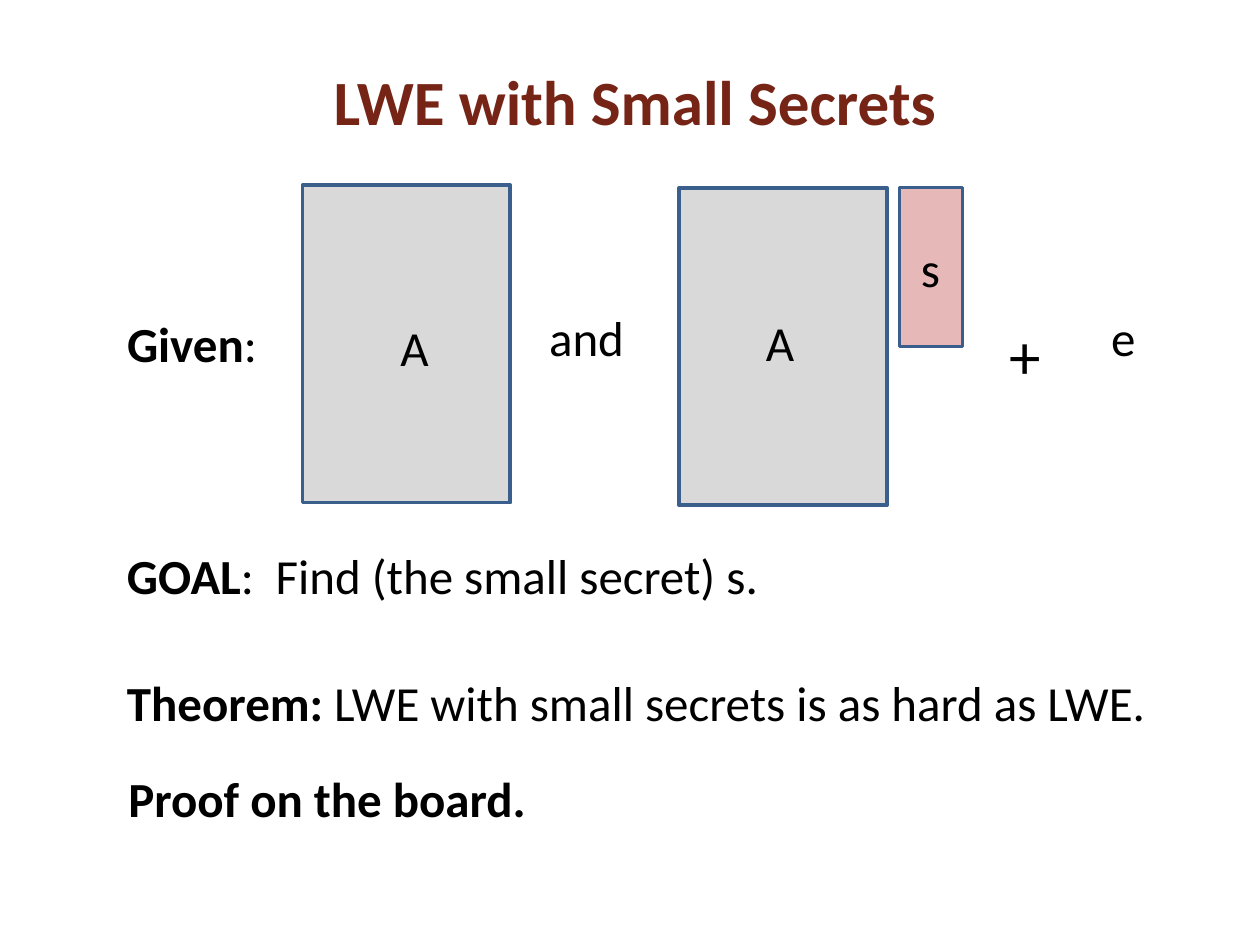
from lxml import etree
from pptx import Presentation
from pptx.dml.color import RGBColor
from pptx.enum.shapes import MSO_SHAPE
from pptx.enum.text import MSO_ANCHOR, PP_ALIGN
from pptx.oxml.ns import qn
from pptx.util import Inches, Pt

RECTANGLE = MSO_SHAPE.RECTANGLE
MIDDLE = MSO_ANCHOR.MIDDLE
CENTER = PP_ALIGN.CENTER

FONT = "Calibri"
COLORS = {"title": "762416", "text": "000000", "matrix": "D9D9D9",
          "secret": "E6B9B8", "border": "3A5F8C"}

# Content
TITLE = "LWE with Small Secrets"
MARGIN = 0.91
MATRIX = (1.65, 2.52)
SECRET = (0.5, MATRIX[1] / 2)
LABEL_HEIGHT = 0.65
LETTER, WORD = 0.47, 0.89  # label widths

# Rectangles: left, top, size, fill
BLOCKS = [
    (5.39, 1.49, MATRIX, "matrix"),
    (2.4, 1.47, MATRIX, "matrix"),
    (7.14, 1.49, SECRET, "secret"),
]

# Text: left, top, width, height, size, [(wording, bold)]
TEXTS = [
    (MARGIN, 2.4, 1.38, LABEL_HEIGHT, 28, [("Given", True), (":", False)]),
    (3.08, 2.43, LETTER, LABEL_HEIGHT, 28, [("A", False)]),
    (4.26, 2.35, WORD, LABEL_HEIGHT, 28, [("and", False)]),
    (5.98, 2.39, LETTER, LABEL_HEIGHT, 28, [("A", False)]),
    (7.21, 1.8, LETTER, LABEL_HEIGHT, 28, [("s", False)]),
    (7.91, 2.49, WORD, LABEL_HEIGHT, 36, [("+", False)]),
    (8.72, 2.35, LETTER, LABEL_HEIGHT, 28, [("e", False)]),
    (MARGIN, 4.24, 6.3, LABEL_HEIGHT, 28,
     [("GOAL", True), (":\tFind (the small secret) s.", False)]),
    (MARGIN, 5.01, 8.8, 1.13, 28,
     [("Theorem: ", True), ("LWE with small secrets is as hard as LWE.", False)]),
    (MARGIN + 0.01, 5.77, 8.8, 1.13, 28, [("Proof on the board.", True)]),
]
GOAL_TAB = 1.18


def color(name):
    return RGBColor.from_string(COLORS[name])


def style(font, size, name, bold=None):
    font.name, font.size, font.bold = FONT, Pt(size), bold
    font.color.rgb = color(name)


def add_block(slide, left, top, size, fill):
    block = slide.shapes.add_shape(RECTANGLE, *map(Inches, (left, top, *size)))
    block.shadow.inherit = False
    block.fill.solid()
    block.fill.fore_color.rgb = color(fill)
    block.line.color.rgb = color("border")
    block.line.width = Pt(2)


def add_text(slide, left, top, width, height, size, spans):
    box = slide.shapes.add_textbox(*map(Inches, (left, top, width, height)))
    frame = box.text_frame
    frame.word_wrap = True
    frame.vertical_anchor = MIDDLE
    para = frame.paragraphs[0]
    if any("\t" in wording for wording, bold in spans):
        tabs = etree.SubElement(para._p.get_or_add_pPr(), qn("a:tabLst"))
        etree.SubElement(tabs, qn("a:tab"), pos=str(Inches(GOAL_TAB)), algn="l")
    style(para.font, size, "text")
    for wording, bold in spans:
        span = para.add_run()
        span.text = wording
        style(span.font, size, "text", bold)


def main():
    deck = Presentation()
    deck.slide_width, deck.slide_height = Inches(10), Inches(7.5)
    slide = deck.slides.add_slide(deck.slide_layouts[5])

    # Title
    title = slide.shapes.title
    title.left, title.top, title.width, title.height = map(
        Inches, (0.33, 0.17, 9.42, 1.25))
    title.text_frame.text = TITLE
    title.text_frame.vertical_anchor = MIDDLE
    heading = title.text_frame.paragraphs[0]
    heading.alignment = CENTER
    style(heading.font, 36, "title", True)

    # Matrices and secret, then the wording over them
    for block in BLOCKS:
        add_block(slide, *block)
    for text in TEXTS:
        add_text(slide, *text)

    deck.save("out.pptx")


if __name__ == "__main__":
    main()
